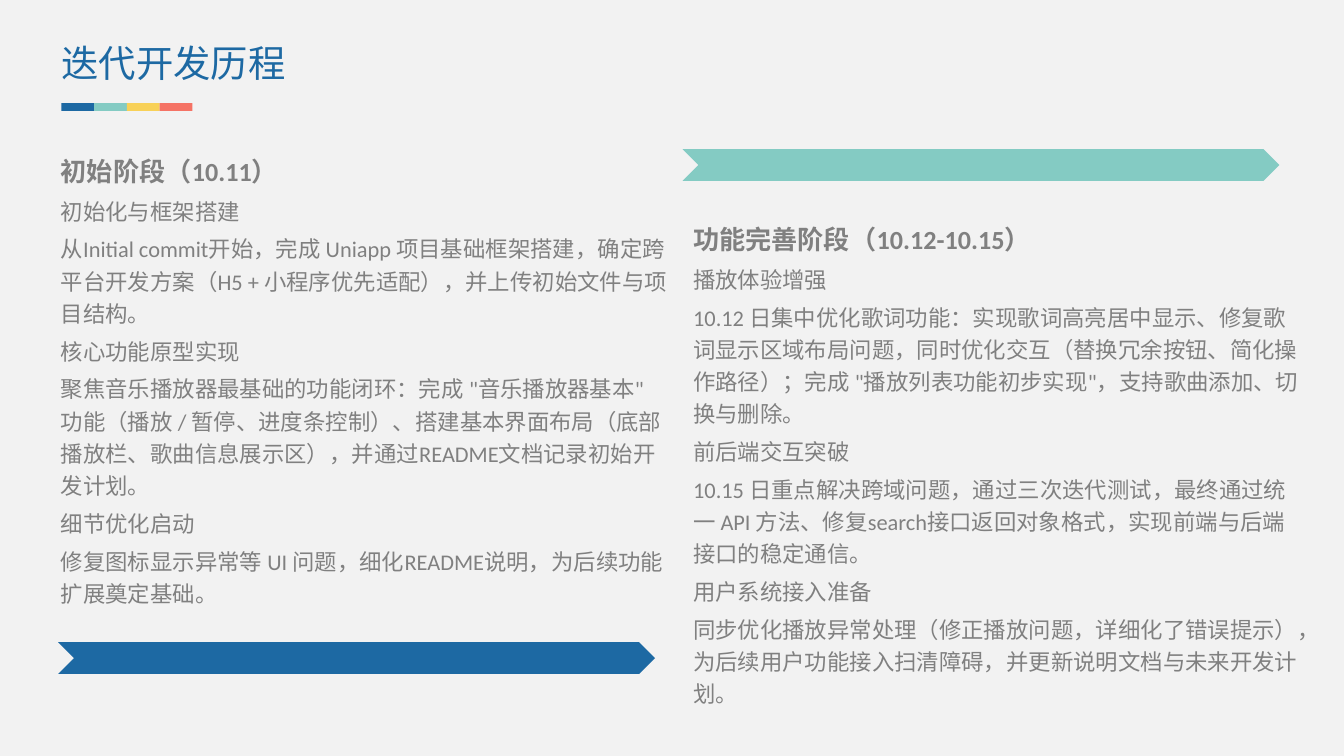
from dataclasses import dataclass

from lxml.etree import SubElement
from pptx import Presentation
from pptx.dml.color import RGBColor
from pptx.enum.shapes import MSO_SHAPE
from pptx.enum.text import MSO_ANCHOR, MSO_AUTO_SIZE, PP_ALIGN
from pptx.oxml.ns import qn
from pptx.util import Cm, Pt

COLORS = {
    "background": "F2F2F2",
    "blue": "1D69A3",
    "teal": "84CBC3",
    "yellow": "F8D158",
    "coral": "F57365",
    "text": "808080",
}
LATIN_FONT = "Calibri"
CHINESE_FONT = "Noto Sans CJK SC"


@dataclass
class Box:
    left: float
    top: float
    width: float
    height: float

    def lengths(self) -> tuple:
        return Cm(self.left), Cm(self.top), Cm(self.width), Cm(self.height)


@dataclass
class Stage:
    box: Box
    heading: str
    lines: list[str]
    arrow: Box
    arrow_color: str


STAGES = [
    Stage(
        Box(1.15, 2.82, 11.53, 7.01),
        "初始阶段（10.11）",
        [
            "初始化与框架搭建",
            "从Initial commit开始，完成 Uniapp 项目基础框架搭建，确定跨平台开发方案（H5 + 小程序优先适配），并上传初始文件与项目结构。",
            "核心功能原型实现",
            "聚焦音乐播放器最基础的功能闭环：完成 \"音乐播放器基本\" 功能（播放 / 暂停、进度条控制）、搭建基本界面布局（底部播放栏、歌曲信息展示区），并通过README文档记录初始开发计划。",
            "细节优化启动",
            "修复图标显示异常等 UI 问题，细化README说明，为后续功能扩展奠定基础。",
        ],
        Box(1.1, 12.14, 11.28, 0.6),
        "blue",
    ),
    Stage(
        Box(13.1, 4.11, 11.53, 9.22),
        "功能完善阶段（10.12-10.15）",
        [
            "播放体验增强",
            "10.12 日集中优化歌词功能：实现歌词高亮居中显示、修复歌词显示区域布局问题，同时优化交互（替换冗余按钮、简化操作路径）；完成 \"播放列表功能初步实现\"，支持歌曲添加、切换与删除。",
            "前后端交互突破",
            "10.15 日重点解决跨域问题，通过三次迭代测试，最终通过统一 API 方法、修复search接口返回对象格式，实现前端与后端接口的稳定通信。",
            "用户系统接入准备",
            "同步优化播放异常处理（修正播放问题，详细化了错误提示），为后续用户功能接入扫清障碍，并更新说明文档与未来开发计划。",
        ],
        Box(12.9, 2.82, 11.28, 0.6),
        "teal",
    ),
]


def rgb(name: str) -> RGBColor:
    return RGBColor.from_string(COLORS[name])


def format_run(run, size: float, font: str, color: str, bold: bool = False) -> None:
    run.font.size = Pt(size)
    run.font.name = font
    run.font.bold = bold
    run.font.color.rgb = rgb(color)
    SubElement(run.font._element, qn("a:ea"), typeface=CHINESE_FONT)


def prepare_frame(text_frame) -> None:
    text_frame.word_wrap = True
    text_frame.auto_size = MSO_AUTO_SIZE.NONE
    text_frame.vertical_anchor = MSO_ANCHOR.TOP
    text_frame.margin_left = text_frame.margin_right = 0
    text_frame.margin_top = text_frame.margin_bottom = 0


def add_filled_shape(slide, kind: MSO_SHAPE, box: Box, color: str) -> None:
    shape = slide.shapes.add_shape(kind, *box.lengths())
    shape.shadow.inherit = False
    shape.fill.solid()
    shape.fill.fore_color.rgb = rgb(color)
    shape.line.fill.background()


def add_title(slide, text: str, box: Box) -> None:
    title = slide.shapes.title
    title.left, title.top, title.width, title.height = box.lengths()
    prepare_frame(title.text_frame)
    title.text_frame.text = text
    paragraph = title.text_frame.paragraphs[0]
    paragraph.alignment = PP_ALIGN.LEFT
    format_run(paragraph.runs[0], 20, CHINESE_FONT, "blue")


def add_stage(slide, stage: Stage) -> None:
    text_frame = slide.shapes.add_textbox(*stage.box.lengths()).text_frame
    prepare_frame(text_frame)
    text_frame.text = "\n".join([stage.heading, *stage.lines])
    for index, paragraph in enumerate(text_frame.paragraphs):
        paragraph.line_spacing = 1.2
        paragraph.space_before = Pt(3)
        is_heading = index == 0
        size = 14 if is_heading else 12
        format_run(paragraph.runs[0], size, LATIN_FONT, "text", is_heading)
    add_filled_shape(slide, MSO_SHAPE.CHEVRON, stage.arrow, stage.arrow_color)


def main() -> None:
    presentation = Presentation()
    presentation.slide_width, presentation.slide_height = Cm(25.4), Cm(14.29)
    slide = presentation.slides.add_slide(presentation.slide_layouts[5])
    slide.background.fill.solid()
    slide.background.fill.fore_color.rgb = rgb("background")

    # Title with its four-colour bar
    add_title(slide, "迭代开发历程", Box(1.16, 0.76, 7.72, 0.86))
    bar_width = 0.62
    for index, color in enumerate(["blue", "teal", "yellow", "coral"]):
        bar = Box(1.16 + index * bar_width, 1.95, bar_width, 0.15)
        add_filled_shape(slide, MSO_SHAPE.RECTANGLE, bar, color)

    # Development stages with their arrows
    for stage in STAGES:
        add_stage(slide, stage)

    presentation.save("out.pptx")


if __name__ == "__main__":
    main()
